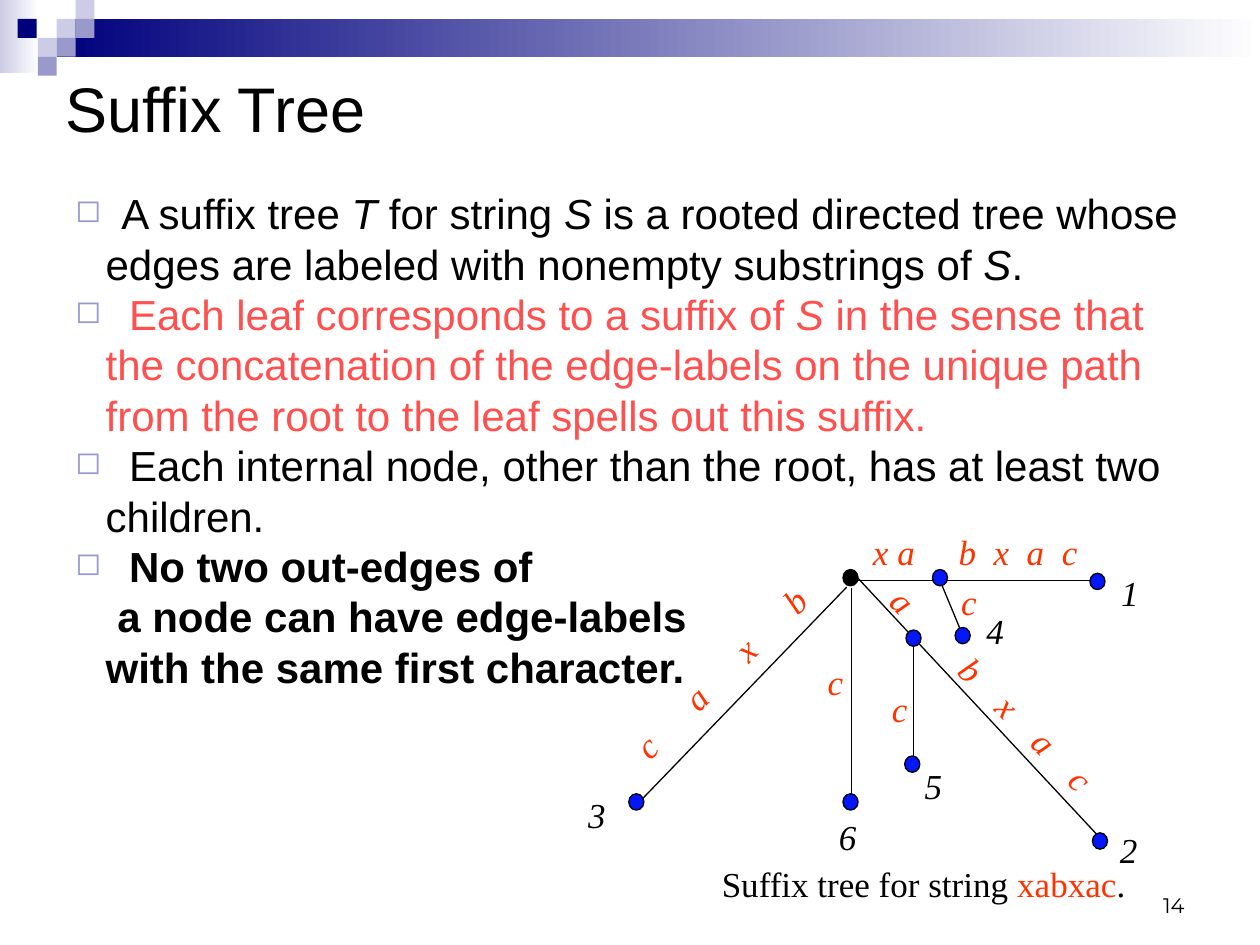
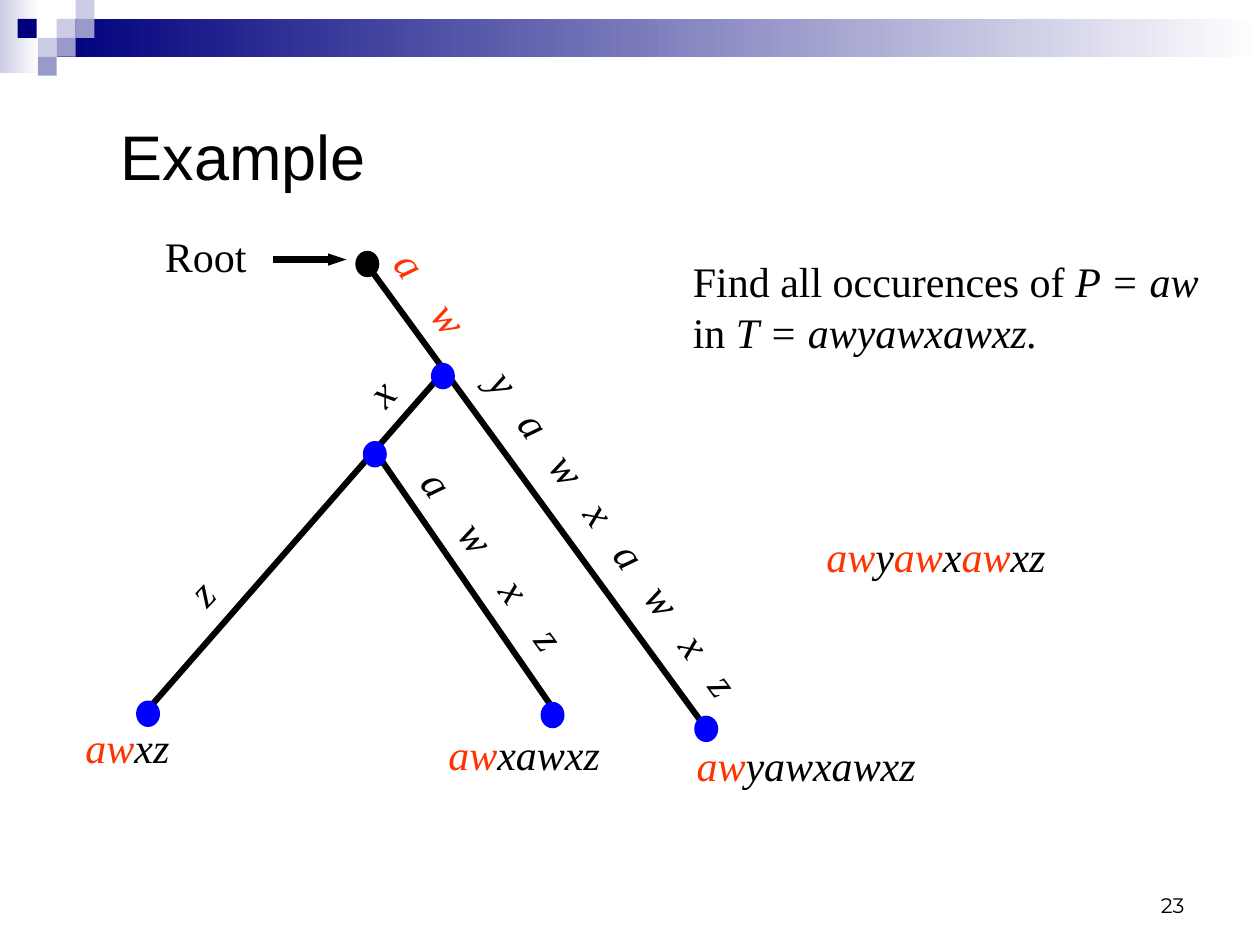
from typing import NamedTuple

from lxml import etree
from pptx import Presentation
from pptx.dml.color import RGBColor
from pptx.enum.shapes import MSO_CONNECTOR, MSO_SHAPE
from pptx.enum.text import MSO_ANCHOR, PP_ALIGN
from pptx.oxml.ns import qn
from pptx.util import Inches, Pt

RECT, OVAL = MSO_SHAPE.RECTANGLE, MSO_SHAPE.OVAL
LINE = MSO_CONNECTOR.STRAIGHT
TOP, MID, LOW = MSO_ANCHOR.TOP, MSO_ANCHOR.MIDDLE, MSO_ANCHOR.BOTTOM
LEFT, RIGHT = PP_ALIGN.LEFT, PP_ALIGN.RIGHT

INK = {
    "black": "000000", "white": "FFFFFF", "navy": "00007D",
    "pale": "CCCCE6", "mauve": "9999CC", "red": "FF3300",
    "coral": "FF5050", "royal": "0416FA", "blue": "0000FF",
}
SANS, SERIF, PAGE = "Arial", "Times New Roman", "Montserrat"


class Run(NamedTuple):
    text: str
    ink: str = "black"
    italic: bool = False
    bold: bool = False
    space: float = 0


class Tile(NamedTuple):
    x: float
    y: float
    ink: str


class Node(NamedTuple):
    x: float
    y: float
    ink: str


class Edge(NamedTuple):
    x1: float
    y1: float
    x2: float
    y2: float


class Label(NamedTuple):
    runs: list[Run]
    x: float
    y: float
    w: float
    turn: float = 0
    wrap: bool = False


TILES = [
    Tile(0.45, 0.15, "pale"), Tile(0.6, 0, "pale"), Tile(0.6, 0.15, "mauve"),
    Tile(0.3, 0.3, "pale"), Tile(0.14, 0.15, "navy"),
    Tile(0.45, 0.3, "mauve"), Tile(0.3, 0.45, "mauve"),
]


def color(name: str) -> RGBColor:
    return RGBColor.from_string(INK[name])


def add_text(slide, paras: list[list[Run]], x: float, y: float, w: float,
             h: float, *, size: float, font: str = SERIF, align=LEFT,
             anchor=TOP, wrap: bool = False, turn: float = 0):
    """Add a text box; a newline inside a run becomes a line break."""
    box = slide.shapes.add_textbox(Inches(x), Inches(y), Inches(w), Inches(h))
    box.rotation = turn
    frame = box.text_frame
    frame.word_wrap, frame.vertical_anchor = wrap, anchor
    if not wrap:
        frame.margin_right = 0  # spare room keeps tight labels on one line
    for i, runs in enumerate(paras):
        para = frame.add_paragraph() if i else frame.paragraphs[0]
        para.alignment, para.line_spacing = align, Pt(1.2 * size)
        for item in runs:
            for j, part in enumerate(item.text.split("\n")):
                if j:
                    para.add_line_break()
                run = para.add_run()
                run.text = part
                run.font.name, run.font.size = font, Pt(size)
                run.font.italic, run.font.bold = item.italic, item.bold
                run.font.color.rgb = color(item.ink)
                if item.space:
                    run.font._element.set("spc", str(round(item.space * 100)))
    return box


def add_shape(slide, kind, x: float, y: float, w: float, h: float,
              ink: str, *, fade: bool = False, edge: bool = False) -> None:
    shape = slide.shapes.add_shape(
        kind, Inches(x), Inches(y), Inches(w), Inches(h))
    shape.shadow.inherit = False
    if fade:
        shape.fill.gradient()
        shape.fill.gradient_angle = 0
        for stop, name in zip(shape.fill.gradient_stops, (ink, "white")):
            stop.color.rgb = color(name)
    else:
        shape.fill.solid()
        shape.fill.fore_color.rgb = color(ink)
    if edge:
        shape.line.color.rgb = color("black")
        shape.line.width = Pt(0.75)
    else:
        shape.line.fill.background()


def add_edge(slide, edge: Edge, width: float, arrow: bool = False) -> None:
    line = slide.shapes.add_connector(LINE, *(Inches(v) for v in edge))
    line.line.color.rgb = color("black")
    line.line.width = Pt(width)
    if arrow:
        etree.SubElement(line.line._get_or_add_ln(), qn("a:tailEnd"),
                         type="triangle", w="sm", len="med")
    etree.SubElement(line._element.spPr, qn("a:effectLst"))


def add_bullet(para) -> None:
    props = para._p.get_or_add_pPr()
    props.set("marL", str(Inches(0.24)))
    props.set("indent", str(-Inches(0.24)))
    tint = etree.SubElement(props, qn("a:buClr"))
    etree.SubElement(tint, qn("a:srgbClr"), val=INK["mauve"])
    etree.SubElement(props, qn("a:buSzPct"), val="75000")
    etree.SubElement(props, qn("a:buChar"), char="◻")


def spread(text: str, size: float, *gaps: int, ink: str = "red") -> list[Run]:
    """Space letters out by gaps counted in space widths; the last repeats."""
    last = len(text) - 1
    runs = []
    for i, char in enumerate(text):
        if i == last:
            runs.append(Run(char, ink, True))
        else:
            gap = gaps[min(i, len(gaps) - 1)]
            runs.append(Run(char + " ", ink, True, space=(gap - 1) * size / 8))
    return runs


def found(text: str) -> list[Run]:
    """Italic text with each "aw" in red."""
    runs = []
    for i, part in enumerate(text.split("aw")):
        if i:
            runs.append(Run("aw", "red", True))
        if part:
            runs.append(Run(part, italic=True))
    return runs


def add_frame(deck, title: str, page: str, x: float, y: float, h: float):
    slide = deck.slides.add_slide(deck.slide_layouts[6])
    add_shape(slide, RECT, 0, 0, 0.31, 0.58, "pale", fade=True)
    add_shape(slide, RECT, 0.45, 0.15, 9.55, 0.3, "navy", fade=True)
    for tile in TILES:
        add_shape(slide, RECT, tile.x, tile.y, 0.15, 0.15, tile.ink)
    add_text(slide, [[Run(page)]], 7.17, 6.83, 2.33, 0.5, size=12, font=PAGE,
             align=RIGHT, anchor=LOW, wrap=True)
    add_text(slide, [[Run(title)]], x, y, 8.07, h, size=36, font=SANS,
             anchor=MID, wrap=True)
    return slide


def add_tree(slide, edges: list[Edge], nodes: list[Node],
             labels: list[Label], *, width: float, node: tuple[float, float],
             size: float, high: float, rim: bool = False) -> None:
    for edge in edges:
        add_edge(slide, edge, width)
    for dot in nodes:
        add_shape(slide, OVAL, dot.x, dot.y, *node, dot.ink, edge=rim)
    for tag in labels:
        add_text(slide, [tag.runs], tag.x, tag.y, tag.w, high, size=size,
                 turn=tag.turn, wrap=tag.wrap)


def suffix_slide(deck) -> None:
    slide = add_frame(deck, "Suffix Tree", "14", 0.42, 0.42, 0.86)
    lead = Run(" ", space=6.7)
    points = [
        [Run(" ", space=2.3), Run("A suffix tree "), Run("T", italic=True),
         Run(" for string"), Run(" S", italic=True),
         Run(" is a rooted directed tree whose edges are labeled with "
             "nonempty substrings of "), Run("S", italic=True), Run(".")],
        [lead, Run("Each leaf corresponds to a suffix of ", "coral"),
         Run("S", "coral", True),
         Run(" in the sense that the concatenation of the edge-labels on the "
             "unique path from the root to the leaf spells out this suffix.",
             "coral")],
        [lead, Run("Each internal node, other than the root, has at least "
                   "two children.")],
        [lead, Run("No two out-edges of\n a node can have edge-labels\n"
                   "with the same first character.", bold=True)],
    ]
    body = add_text(slide, points, 0.5, 1.44, 8.95, 4.1, size=24, font=SANS,
                    wrap=True)
    for para in body.text_frame.paragraphs:
        add_bullet(para)

    edges = [
        Edge(6.81, 4.59, 8.74, 6.66), Edge(6.72, 4.66, 5.07, 6.37),
        Edge(7.25, 5.09, 7.25, 6.07), Edge(6.76, 4.67, 6.76, 6.38),
        Edge(6.77, 4.61, 8.69, 4.61), Edge(7.47, 4.63, 7.64, 5.04),
    ]
    spots = [(8.67, 6.61), (4.99, 6.3), (7.18, 6), (6.69, 6.3), (7.19, 5),
             (7.4, 4.52), (7.58, 4.98), (8.65, 4.55)]
    nodes = [Node(6.69, 4.52, "black")]
    nodes += [Node(x, y, "royal") for x, y in spots]
    leaves = {"1": (8.8, 4.49), "2": (8.79, 6.53), "3": (4.57, 6.25),
              "4": (7.73, 4.79), "5": (7.24, 6.02), "6": (6.56, 6.42)}
    labels = [Label([Run(n, italic=True)], x, y, 0.34)
              for n, (x, y) in leaves.items()]
    labels += [Label([Run("c", "red", True)], x, y, 0.32)
               for x, y in [(7.53, 4.56), (6.98, 5.41), (6.47, 5.19)]]
    labels += [
        Label(spread("caxb", 20, 6), 4.68, 4.99, 2.35, 315.6, True),
        Label(spread("abxac", 20, 9, 4), 6.64, 5.43, 2.81, 45, True),
        Label(spread("xabxac", 20, 1, 5, 2), 6.83, 4.16, 1.82),
        Label([Run("Suffix tree for string "), Run("xabxac", "red"),
               Run(".")], 5.63, 6.8, 3.41),
    ]
    add_tree(slide, edges, nodes, labels, width=0.75, node=(0.12, 0.13),
             size=20, high=0.44, rim=True)


def example_slide(deck) -> None:
    slide = add_frame(deck, "Example", "23", 0.86, 0.62, 1.22)
    task = [
        [Run("Find all occurences of "), Run("P = aw", italic=True)],
        [Run("in "), Run("T = awyawxawxz.", italic=True)],
    ]
    add_text(slide, task, 5.4, 1.98, 4.22, 0.9, size=24)

    edges = [Edge(2.92, 2.11, 5.64, 5.83), Edge(3.53, 2.94, 1.14, 5.67),
             Edge(2.97, 3.57, 4.4, 5.64)]
    spots = [(3.42, 2.88), (2.88, 3.5), (1.08, 5.56), (4.29, 5.57),
             (5.51, 5.68)]
    nodes = [Node(2.82, 1.99, "black")]
    nodes += [Node(x, y, "blue") for x, y in spots]
    labels = [
        Label(found("awyawxawxz"), 6.46, 4.16, 1.94),
        Label(spread("aw", 24, 4), 2.97, 2.07, 0.92, 54),
        Label([Run("x", italic=True)], 2.85, 2.86, 0.35, 313.4),
        Label([Run("z", italic=True)], 1.43, 4.45, 0.33, 313.4),
        Label(spread("awxz", 24, 4, ink="black"), 2.99, 4.19, 1.86, 54),
        Label(spread("yawxawxz", 24, 3, ink="black"), 3.23, 3.98, 3.3, 54),
        Label([Run("Root")], 1.21, 1.78, 0.85),
    ]
    leaves = [("xz", 0.58, 5.68, 0.86), ("xawxz", 3.46, 5.73, 1.4),
              ("yawxawxz", 5.43, 5.82, 1.94)]
    labels += [Label([Run("aw", "red", True), Run(rest, italic=True)], x, y, w)
               for rest, x, y, w in leaves]
    add_tree(slide, edges, nodes, labels, width=3.5, node=(0.19, 0.21),
             size=24, high=0.5)
    add_edge(slide, Edge(2.17, 2.06, 2.75, 2.06), 3.5, arrow=True)


def main() -> None:
    deck = Presentation()
    deck.slide_width, deck.slide_height = Inches(10), Inches(7.5)
    suffix_slide(deck)
    example_slide(deck)
    deck.save("out.pptx")


if __name__ == "__main__":
    main()
